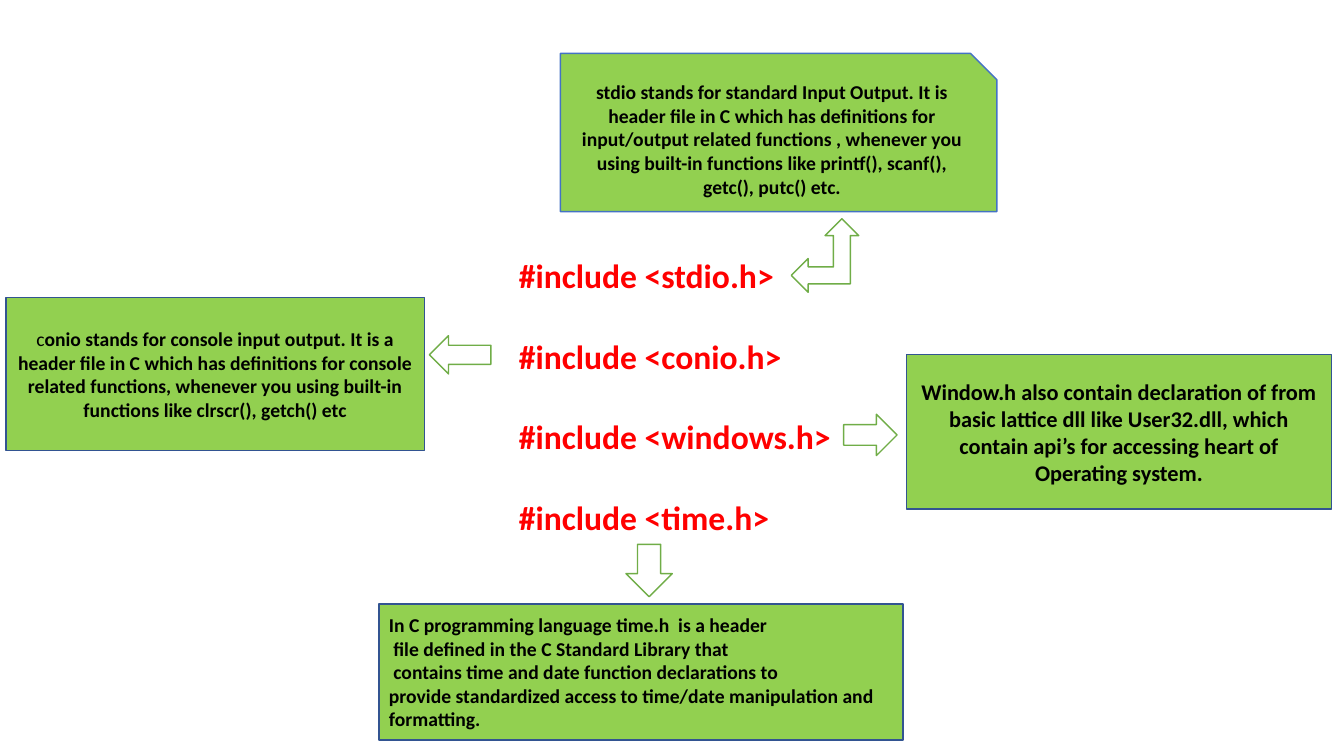
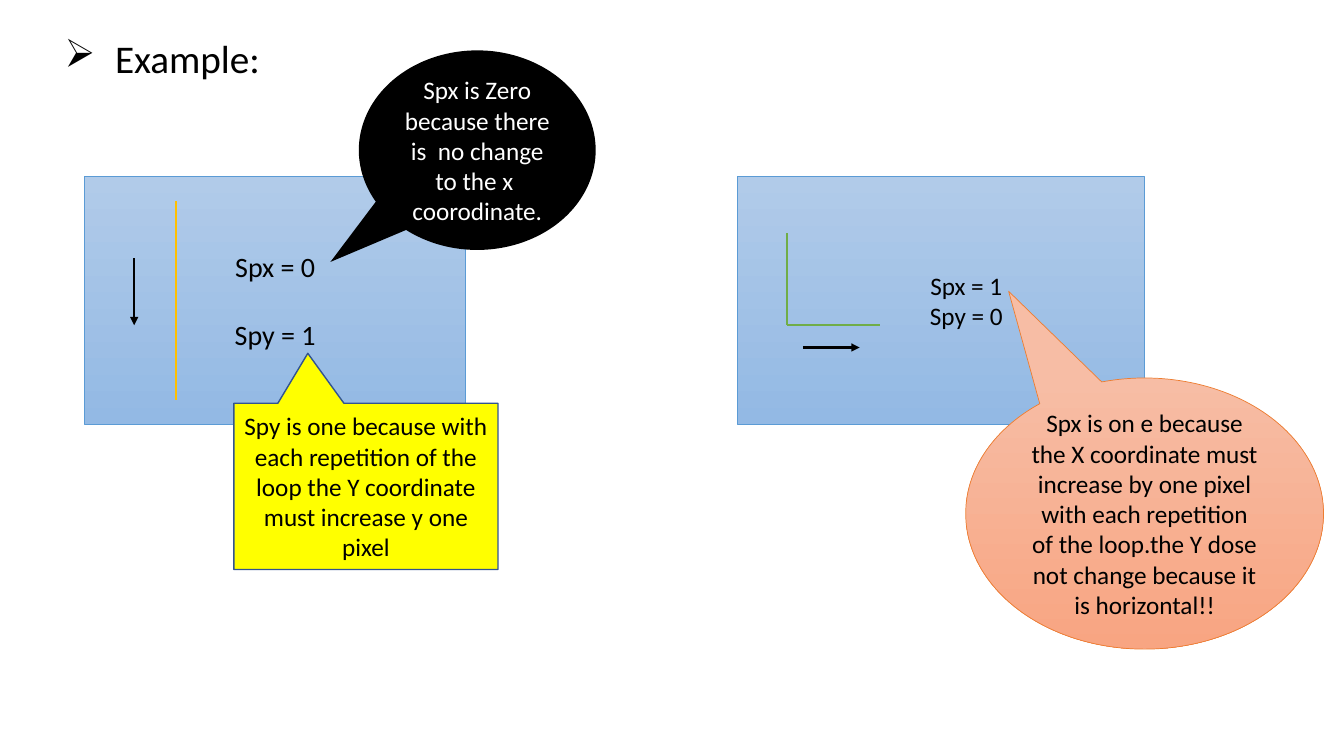
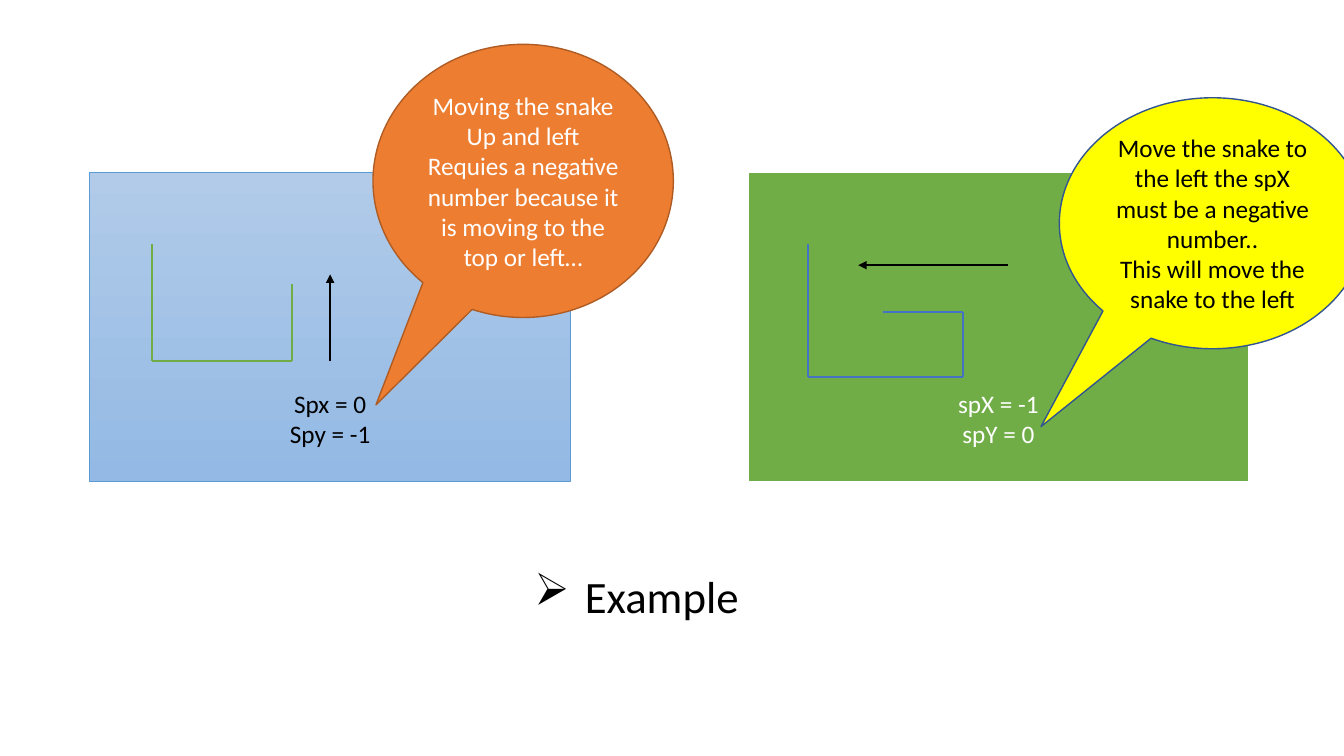
from typing import NamedTuple

from lxml import etree
from pptx import Presentation
from pptx.dml.color import RGBColor
from pptx.enum.shapes import MSO_CONNECTOR, MSO_SHAPE
from pptx.enum.text import MSO_ANCHOR, PP_ALIGN
from pptx.oxml.ns import qn
from pptx.util import Inches, Pt

RECT, SNIPPED = MSO_SHAPE.RECTANGLE, MSO_SHAPE.SNIP_1_RECTANGLE
LEFT_UP, LEFT_ARROW = MSO_SHAPE.LEFT_UP_ARROW, MSO_SHAPE.LEFT_ARROW
RIGHT_ARROW, DOWN_ARROW = MSO_SHAPE.RIGHT_ARROW, MSO_SHAPE.DOWN_ARROW
OVAL_CALLOUT = MSO_SHAPE.OVAL_CALLOUT
RECT_CALLOUT = MSO_SHAPE.RECTANGULAR_CALLOUT
STRAIGHT = MSO_CONNECTOR.STRAIGHT
CENTER, LEFT = PP_ALIGN.CENTER, PP_ALIGN.LEFT
TOP, MIDDLE, BOTTOM = MSO_ANCHOR.TOP, MSO_ANCHOR.MIDDLE, MSO_ANCHOR.BOTTOM

FONT = "Calibri"
CELL = Inches(0.1)
GRID_COLS, GRID_ROWS = 133.33, 75
INSET = 1
LINE_HEIGHT = 1.2

BLACK, WHITE, RED, YELLOW = "000000", "FFFFFF", "FF0000", "FFFF00"
LIME, GREEN, BLUE, NAVY = "92D050", "70AD47", "4472C4", "325491"
GOLD, ORANGE, RUST, SKY = "FFC000", "ED7D31", "AF5C24", "5B9BD5"
SKY_FADE = ("B1CBE9", "93B9E4")
PEACH_FADE = ("F7BDA5", "F8A582")


class Box(NamedTuple):
    """A region measured in grid columns and rows."""
    col: float
    row: float
    cols: float
    rows: float

    def lengths(self):
        """Give left, top, width and height as slide lengths."""
        return [cells(value) for value in self]

    def point(self, across, down):
        """Give the place at two shares of the region."""
        return cells(self.col + across * self.cols), cells(self.row + down * self.rows)


def cells(count):
    """Turn a count of grid cells into a length."""
    return round(count * CELL)


def rgb(code):
    """Turn a hex string into a colour."""
    return RGBColor.from_string(code)


def write(holder, paragraphs, size=18, color=BLACK, bold=False, align=CENTER,
          anchor=MIDDLE, gap=0, plain_start=0, inset=INSET, left=INSET, bottom=0.5):
    """Fill a shape with paragraphs; the first plain_start letters stay regular."""
    frame = holder.text_frame
    frame.word_wrap = True
    frame.vertical_anchor = anchor
    frame.margin_left, frame.margin_right = cells(left), cells(inset)
    frame.margin_bottom = cells(bottom)
    for index, text in enumerate(paragraphs):
        paragraph = frame.paragraphs[0] if index == 0 else frame.add_paragraph()
        paragraph.alignment = align
        if index:
            paragraph.space_before = Pt(gap)
        for part, strong in ((text[:plain_start], False), (text[plain_start:], bold)):
            if part:
                run = paragraph.add_run()
                run.text = part
                run.font.name, run.font.size, run.font.bold = FONT, Pt(size), strong
                run.font.color.rgb = rgb(color)


def draw(slide, kind, box, fill, line=None, width=1.0, tip=()):
    """Draw a preset shape with a flat fill or a two-colour fade."""
    shape = slide.shapes.add_shape(kind, *box.lengths())
    shape.shadow.inherit = False
    for index, share in enumerate(tip):
        shape.adjustments[index] = share
    if isinstance(fill, tuple):
        shape.fill.gradient()
        shape.fill.gradient_angle = 270
        for stop, code in zip(shape.fill.gradient_stops, fill):
            stop.color.rgb = rgb(code)
    else:
        shape.fill.solid()
        shape.fill.fore_color.rgb = rgb(fill)
    if line:
        shape.line.color.rgb = rgb(line)
        shape.line.width = Pt(width)
    else:
        shape.line.fill.background()
    return shape


def trail(slide, box, points, color, arrow=False):
    """Join points, given as shares of the box, with straight lines."""
    for start, end in zip(points, points[1:]):
        segment = slide.shapes.add_connector(STRAIGHT, *box.point(*start), *box.point(*end))
        segment.line.color.rgb = rgb(color)
        segment.line.width = Pt(1.5)
        if arrow:
            etree.SubElement(segment.line._get_or_add_ln(), qn("a:tailEnd"), type="triangle")
        etree.SubElement(segment._element.spPr, qn("a:effectLst"))


def heading(slide, box, text, size):
    """Write a heading with an arrowhead bullet."""
    holder = slide.shapes.add_textbox(*box.lengths())
    write(holder, [text], size=size, anchor=TOP, inset=0.5, left=0.5)
    properties = holder.text_frame.paragraphs[0]._p.get_or_add_pPr()
    properties.set("marL", str(cells(5)))
    properties.set("indent", str(-cells(5)))
    etree.SubElement(properties, qn("a:buChar"), char="➢")


def include_list(slide, box, headers):
    """List the include lines one blank line apart."""
    size = 24
    holder = slide.shapes.add_textbox(*box.lengths())
    write(holder, [f"#include <{header}>" for header in headers], size=size, color=RED,
          bold=True, align=LEFT, anchor=TOP, gap=size * LINE_HEIGHT)


def header_note(slide, box, paragraphs, pointer, pointer_box, kind=RECT, line=NAVY,
                size=14, **text_format):
    """Place a green note and the block arrow that leads to it."""
    draw(slide, pointer, pointer_box, WHITE, GREEN)
    note = draw(slide, kind, box, LIME, line)
    write(note, paragraphs, size=size, bold=True, **text_format)


def snake_panel(slide, box, speeds, snake, arrow, snake_color=GREEN, fill=SKY_FADE,
                line=SKY, width=0.5, **text_format):
    """Place a panel with its speeds, snake lines and direction arrow."""
    panel = draw(slide, RECT, box, fill, line, width)
    write(panel, speeds, **text_format)
    trail(slide, box, snake, snake_color)
    trail(slide, box, arrow, BLACK, arrow=True)


def callout(slide, box, paragraphs, tip, fill, line=None, width=1.0, kind=OVAL_CALLOUT,
            color=BLACK):
    """Place a speech bubble whose tip is offset by shares of its size."""
    write(draw(slide, kind, box, fill, line, width, tip), paragraphs, color=color)


def headers_slide(slide):
    """Explain the four included headers."""
    include_list(slide, Box(50.5, 24.8, 41.6, 29.3),
                 ["stdio.h", "conio.h", "windows.h", "time.h"])
    header_note(slide, Box(55.6, 5.3, 43.3, 15.7), [
        "stdio stands for standard Input Output. It is header file in C which has "
        "definitions for input/output related functions , whenever you using built-in "
        "functions like printf(), scanf(), getc(), putc() etc."],
        LEFT_UP, Box(78.5, 21.7, 6.7, 7.3), kind=SNIPPED, line=BLUE)
    header_note(slide, Box(0.6, 29.5, 41.5, 15.2), [
        "conio stands for console input output. It is a header file in C which has "
        "definitions for console related functions, whenever you using built-in "
        "functions like clrscr(), getch() etc"],
        LEFT_ARROW, Box(42.6, 33.3, 6.1, 3.8), plain_start=1)
    header_note(slide, Box(89.9, 35.2, 42.2, 15.3), [
        "Window.h also contain declaration of from basic lattice dll like User32.dll, "
        "which contain api’s for accessing heart of Operating system."],
        RIGHT_ARROW, Box(83.7, 41.1, 5.3, 4.1), size=16)
    header_note(slide, Box(37.6, 59.9, 52, 13.5), [
        "In C programming language time.h  is a header",
        " file defined in the C Standard Library that",
        " contains time and date function declarations to",
        "provide standardized access to time/date manipulation and formatting."],
        DOWN_ARROW, Box(62.1, 54, 4.6, 5.2), align=LEFT)


def forward_slide(slide):
    """Show the snake moving down and right."""
    snake_panel(slide, Box(8.4, 17.5, 37.8, 24.6), ["Spx = 0", "Spy = 1"],
                [(0.24, 0.1), (0.24, 0.9)], [(0.13, 0.33), (0.13, 0.6)],
                snake_color=GOLD, size=20, gap=20 * LINE_HEIGHT)
    callout(slide, Box(35.6, 5, 23.5, 19.8),
            ["Spx is Zero because there is  no change to the x  coorodinate."],
            (-0.62, 0.56), BLACK, color=WHITE)
    callout(slide, Box(23.2, 40, 26.2, 16.5), [
        "Spy is one because with each repetition of the loop the Y coordinate must "
        "increase y one pixel"], (-0.22, -0.8), YELLOW, NAVY, kind=RECT_CALLOUT)
    heading(slide, Box(4.9, 2.9, 22.4, 5.7), "Example:", 28)
    snake_panel(slide, Box(73.2, 17.5, 40.3, 24.6), ["Spx = 1", "Spy = 0"],
                [(0.12, 0.23), (0.12, 0.6), (0.35, 0.6)],
                [(0.16, 0.69), (0.3, 0.69)], left=6)
    callout(slide, Box(95.8, 37.5, 35.5, 26.9), [
        "Spx is on e because the X coordinate must increase by one pixel with each "
        "repetition of the loop.the Y dose not change because it is horizontal!!"],
        (-0.38, -0.82), PEACH_FADE, ORANGE, 0.5)


def backward_slide(slide):
    """Show the snake moving up and left."""
    low_text = {"anchor": BOTTOM, "bottom": 3.3}
    snake_panel(slide, Box(8.9, 17.1, 47.7, 30.7), ["Spx = 0", "Spy = -1"],
                [(0.13, 0.23), (0.13, 0.61), (0.42, 0.61), (0.42, 0.36)],
                [(0.5, 0.61), (0.5, 0.33)], **low_text)
    snake_panel(slide, Box(74.2, 17.1, 49.7, 30.7), ["spX = -1", "spY = 0"],
                [(0.12, 0.23), (0.12, 0.66), (0.43, 0.66), (0.43, 0.45), (0.27, 0.45)],
                [(0.52, 0.3), (0.22, 0.3)], snake_color=BLUE, fill=GREEN, line=WHITE,
                width=1.5, color=WHITE, **low_text)
    callout(slide, Box(37, 4.4, 29.8, 27.1), [
        "Moving the snake Up and left Requies a negative number because it is moving "
        "to the top or left…"], (-0.49, 0.82), ORANGE, RUST, color=WHITE)
    callout(slide, Box(105.1, 9.7, 30.4, 24.9), [
        "Move the snake to the left the spX must be a negative number..",
        "This will move the snake to the left"], (-0.56, 0.81), YELLOW, NAVY)
    heading(slide, Box(51.9, 55.9, 22.5, 6.4), "Example", 32)


def main():
    """Build and save the presentation."""
    deck = Presentation()
    deck.slide_width, deck.slide_height = cells(GRID_COLS), cells(GRID_ROWS)
    blank = deck.slide_layouts[6]
    for build in (headers_slide, forward_slide, backward_slide):
        build(deck.slides.add_slide(blank))
    deck.save("out.pptx")


if __name__ == "__main__":
    main()
